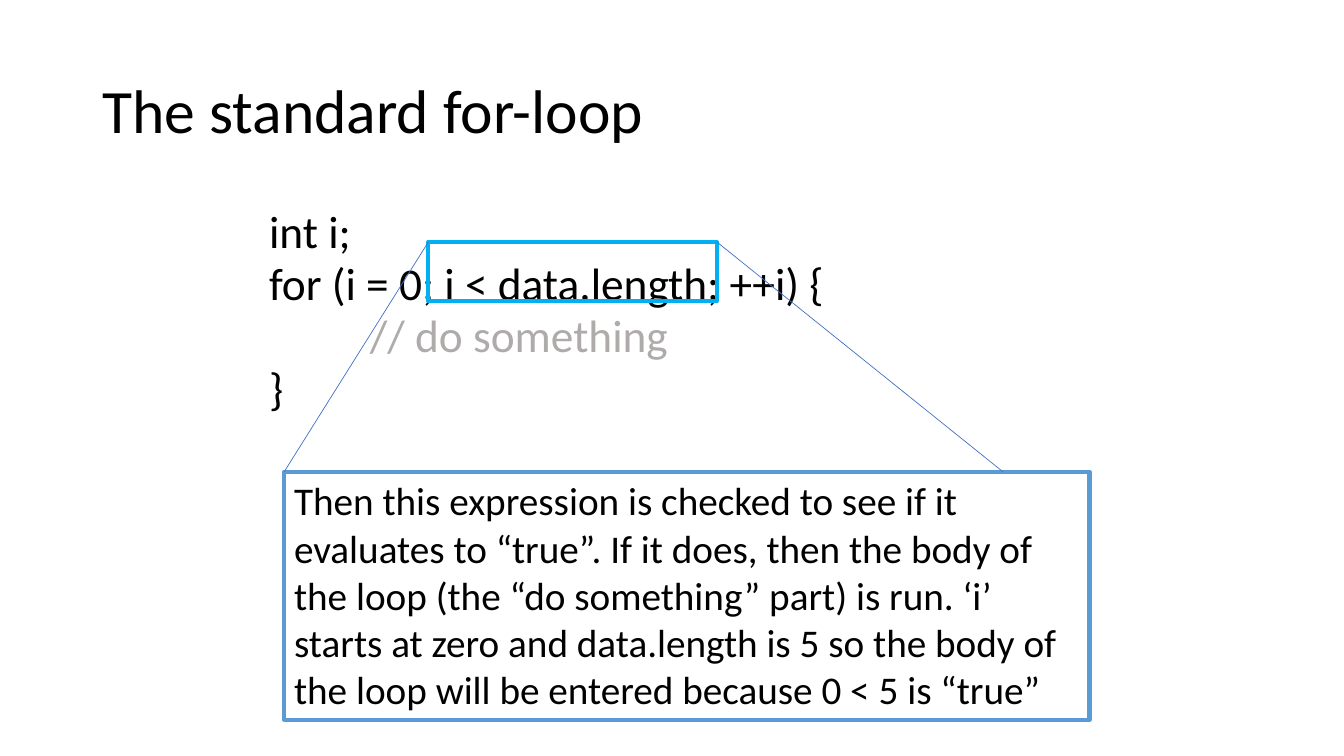
from dataclasses import dataclass

from lxml import etree
from pptx import Presentation
from pptx.dml.color import RGBColor
from pptx.enum import shapes, text
from pptx.oxml import ns
from pptx.util import Pt


@dataclass(frozen=True)
class Theme:
    font: str = "Calibri"
    ink: str = "000000"
    muted: str = "AFABAB"
    highlight: str = "00B0F0"
    box: str = "5B9BD5"
    leader: str = "4472C4"
    title_size: float = 44
    code_size: float = 32.4
    note_size: float = 28
    frame_width: float = 3
    leader_width: float = 0.5


@dataclass(frozen=True)
class Rect:
    left: float
    top: float
    width: float
    height: float

    @property
    def right(self) -> float:
        return self.left + self.width


@dataclass(frozen=True)
class CodeLine:
    text: str
    level: int = 1
    color: str = Theme.ink


@dataclass(frozen=True)
class Leader:
    x1: float
    y1: float
    x2: float
    y2: float


THEME = Theme()
TAB = 72
CODE_TOP_INSET = 45

TITLE = Rect(66, 29, 828, 104.4)
BODY = Rect(113, 110.9, 828, 181.4)
CONDITION = Rect(306, 172.8, 206, 42.5)
NOTE = Rect(203, 337, 575.3, 177.1)

CODE = [
    CodeLine("int i;"),
    CodeLine("for (i = 0; i < data.length; ++i) {"),
    CodeLine("// do something", level=2, color=THEME.muted),
    CodeLine("}"),
]
NOTE_TEXT = (
    "Then this expression is checked to see if it evaluates to “true”. "
    "If it does, then the body of the loop (the “do something” part) is run. "
    "‘i’ starts at zero and data.length is 5 so the body of the loop "
    "will be entered because 0 < 5 is “true”"
)
LEADERS = [
    Leader(CONDITION.left, CONDITION.top, NOTE.left, NOTE.top),
    Leader(CONDITION.right, CONDITION.top, 716.4, NOTE.top),
]


def place(sp, rect: Rect) -> None:
    sp.left, sp.top = Pt(rect.left), Pt(rect.top)
    sp.width, sp.height = Pt(rect.width), Pt(rect.height)


def add_run(p, content: str, size: float, color: str = THEME.ink) -> None:
    r = p.add_run()
    r.text = content
    r.font.name = THEME.font
    r.font.size = Pt(size)
    r.font.color.rgb = RGBColor.from_string(color)


def fill_title(sp, content: str) -> None:
    place(sp, TITLE)
    tf = sp.text_frame
    tf.auto_size = text.MSO_AUTO_SIZE.NONE
    tf.vertical_anchor = text.MSO_ANCHOR.MIDDLE
    p = tf.paragraphs[0]
    p.alignment = text.PP_ALIGN.LEFT
    p.line_spacing = 0.9
    add_run(p, content, THEME.title_size)


def fill_code(sp, lines: list[CodeLine]) -> None:
    place(sp, BODY)
    tf = sp.text_frame
    tf.auto_size = text.MSO_AUTO_SIZE.NONE
    tf.vertical_anchor = text.MSO_ANCHOR.TOP
    tf.margin_top = Pt(CODE_TOP_INSET)
    for i, line in enumerate(lines):
        p = tf.add_paragraph() if i else tf.paragraphs[0]
        p.line_spacing = 0.7
        p.space_before = Pt(10)
        add_run(p, line.text, THEME.code_size, line.color)
        # Code is indented by whole tabs and has no bullets
        ppr = p._p.get_or_add_pPr()
        ppr.set("marL", str(Pt(TAB * line.level)))
        ppr.set("indent", "0")
        etree.SubElement(ppr, ns.qn("a:buNone"))


def add_frame(slide, rect: Rect, color: str):
    sp = slide.shapes.add_shape(
        shapes.MSO_SHAPE.RECTANGLE,
        Pt(rect.left), Pt(rect.top), Pt(rect.width), Pt(rect.height),
    )
    sp.shadow.inherit = False
    sp.fill.background()
    sp.line.color.rgb = RGBColor.from_string(color)
    sp.line.width = Pt(THEME.frame_width)
    return sp


def fill_note(sp, content: str) -> None:
    tf = sp.text_frame
    tf.word_wrap = True
    tf.auto_size = text.MSO_AUTO_SIZE.SHAPE_TO_FIT_TEXT
    tf.vertical_anchor = text.MSO_ANCHOR.TOP
    p = tf.paragraphs[0]
    p.alignment = text.PP_ALIGN.LEFT
    add_run(p, content, THEME.note_size)


def add_leader(slide, leader: Leader) -> None:
    line = slide.shapes.add_connector(
        shapes.MSO_CONNECTOR.STRAIGHT,
        Pt(leader.x1), Pt(leader.y1), Pt(leader.x2), Pt(leader.y2),
    )
    line.line.color.rgb = RGBColor.from_string(THEME.leader)
    line.line.width = Pt(THEME.leader_width)
    etree.SubElement(line._element.spPr, ns.qn("a:effectLst"))


def main() -> None:
    prs = Presentation()
    prs.slide_width, prs.slide_height = Pt(960), Pt(540)
    slide = prs.slides.add_slide(prs.slide_layouts[1])

    # Title and code
    fill_title(slide.shapes.title, "The standard for-loop")
    fill_code(slide.placeholders[1], CODE)

    # Highlighted condition and its explanation
    add_frame(slide, CONDITION, THEME.highlight)
    fill_note(add_frame(slide, NOTE, THEME.box), NOTE_TEXT)

    # Lines from the condition to the explanation
    for leader in LEADERS:
        add_leader(slide, leader)

    prs.save("out.pptx")


if __name__ == "__main__":
    main()
